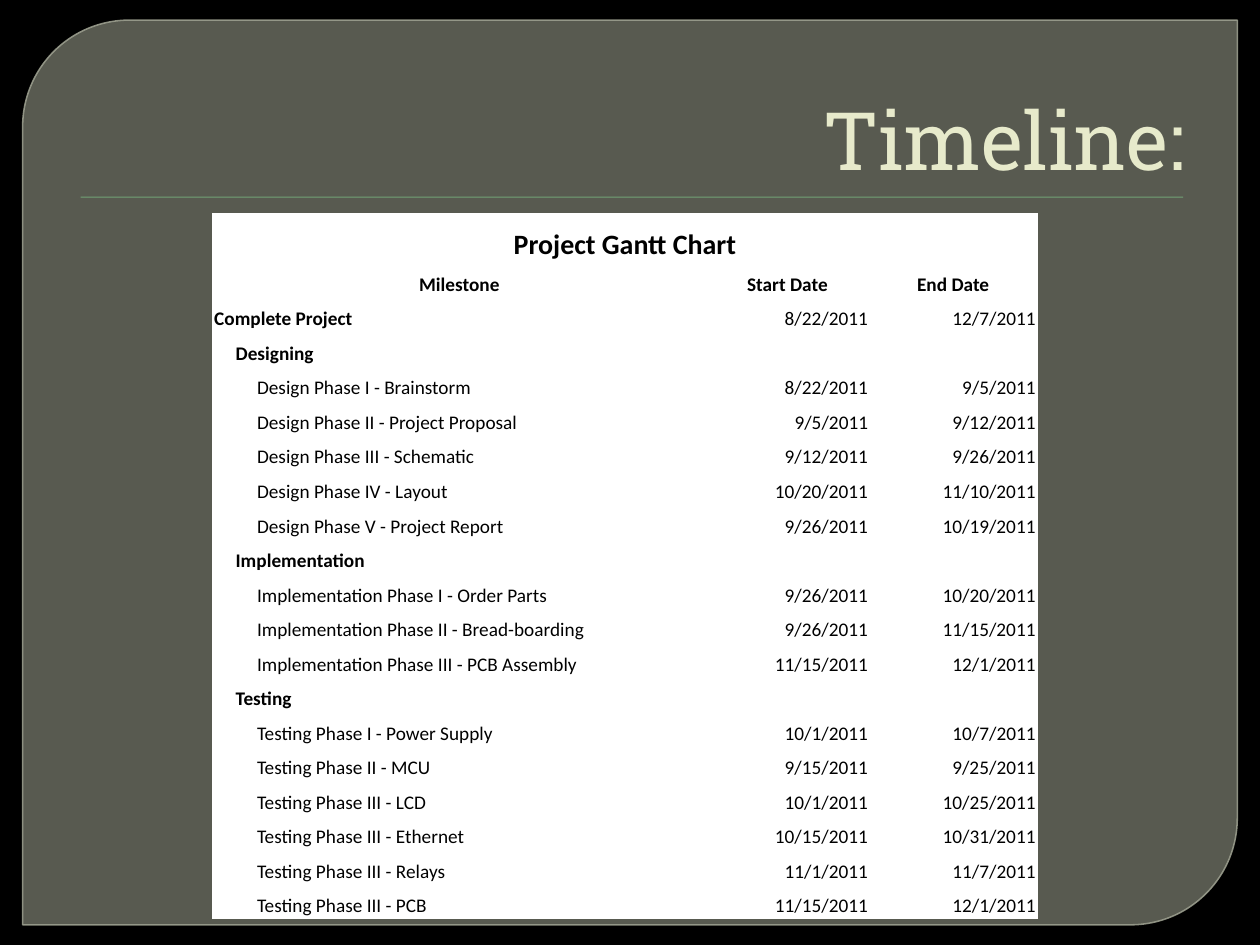
"""Build the project timeline slide."""
from dataclasses import dataclass

from lxml import etree
from pptx import Presentation
from pptx.dml.color import RGBColor
from pptx.enum.shapes import MSO_SHAPE
from pptx.enum.text import MSO_ANCHOR, PP_ALIGN
from pptx.oxml.ns import qn
from pptx.util import Inches, Pt

PANEL_SHAPE = MSO_SHAPE.ROUND_2_DIAG_RECTANGLE
RECTANGLE = MSO_SHAPE.RECTANGLE
BOTTOM = MSO_ANCHOR.BOTTOM
LEFT, CENTER, RIGHT = PP_ALIGN.LEFT, PP_ALIGN.CENTER, PP_ALIGN.RIGHT


@dataclass(frozen=True)
class Theme:
    """Colours, fonts and sizes of the slide."""
    background: str = "000000"
    panel: str = "888B7B"
    panel_line: str = "9DA090"
    rule: str = "72A376"
    title: str = "E7EACB"
    cell: str = "FFFFFF"
    ink: str = "000000"
    title_font: str = "Roboto Slab"
    table_font: str = "Calibri"
    title_size: int = 46
    caption_size: int = 16
    body_size: int = 11
    cell_margin: float = 0.01
    indent: float = 0.17


def set_alpha(fill, percent):
    """Make a solid fill partly transparent."""
    color = fill._xPr.find(qn("a:solidFill"))[0]
    etree.SubElement(color, qn("a:alpha")).set("val", str(percent * 1000))


class SlideBuilder:
    """Draws styled elements on one slide."""

    def __init__(self, slide, theme):
        """Keep the slide and theme, and paint the background."""
        self.slide = slide
        self.theme = theme
        fill = slide.background.fill
        fill.solid()
        fill.fore_color.rgb = RGBColor.from_string(theme.background)

    def shape(self, kind, box, color):
        """Add a filled shape without an outline."""
        shape = self.slide.shapes.add_shape(kind, *map(Inches, box))
        shape.shadow.inherit = False
        shape.fill.solid()
        shape.fill.fore_color.rgb = RGBColor.from_string(color)
        shape.line.fill.background()
        return shape

    def panel(self, box):
        """Add the translucent panel with two rounded corners."""
        panel = self.shape(PANEL_SHAPE, box, self.theme.panel)
        panel.adjustments[0] = 0.118
        panel.adjustments[1] = 0
        set_alpha(panel.fill, 65)
        panel.line.width = Pt(0.87)
        panel.line.fill.solid()
        panel.line.color.rgb = RGBColor.from_string(self.theme.panel_line)
        set_alpha(panel.line.fill, 88)

    def run(self, paragraph, text, font, size, color, bold=False):
        """Add one styled run to a paragraph."""
        run = paragraph.add_run()
        run.text = text
        run.font.name = font
        run.font.size = Pt(size)
        run.font.bold = bold
        run.font.color.rgb = RGBColor.from_string(color)

    def title(self, box, text):
        """Add the right-aligned slide title."""
        theme = self.theme
        frame = self.slide.shapes.add_textbox(*map(Inches, box)).text_frame
        frame.word_wrap = True
        frame.vertical_anchor = BOTTOM
        paragraph = frame.paragraphs[0]
        paragraph.alignment = RIGHT
        self.run(paragraph, text, theme.title_font, theme.title_size, theme.title)

    def cell(self, cell, text, alignment, bold=False, level=0, size=None):
        """Style and fill one table cell."""
        theme = self.theme
        size = size or theme.body_size
        cell.fill.solid()
        cell.fill.fore_color.rgb = RGBColor.from_string(theme.cell)
        cell.vertical_anchor = BOTTOM
        cell.margin_left = Inches(theme.cell_margin + level * theme.indent)
        cell.margin_right = cell.margin_top = Inches(theme.cell_margin)
        cell.margin_bottom = 0
        paragraph = cell.text_frame.paragraphs[0]
        paragraph.alignment = alignment
        if text:
            self.run(paragraph, text, theme.table_font, size, theme.ink, bold)
        else:
            end = etree.SubElement(paragraph._p, qn("a:endParaRPr"))
            end.set("sz", str(size * 100))

    def schedule(self, box, widths, caption_height, caption, headers, tasks):
        """Add the milestone table: caption, header row and one row per task."""
        row_count = len(tasks) + 2
        table = self.slide.shapes.add_table(
            row_count, len(widths), *map(Inches, box)).table
        table.first_row = table.horz_banding = False
        for column, width in zip(table.columns, widths):
            column.width = Inches(width)
        row_height = (box[3] - caption_height) / (row_count - 1)
        for row in table.rows:
            row.height = Inches(row_height)
        table.rows[0].height = Inches(caption_height)

        table.cell(0, 0).merge(table.cell(0, len(widths) - 1))
        self.cell(table.cell(0, 0), caption, CENTER, True,
                  size=self.theme.caption_size)
        for column, header in enumerate(headers):
            self.cell(table.cell(1, column), header, CENTER, True)
        for row, (level, name, *dates) in enumerate(tasks, start=2):
            self.cell(table.cell(row, 0), name, LEFT, level < 2, level)
            for column, date in enumerate(dates, start=1):
                self.cell(table.cell(row, column), date, RIGHT)


HEADERS = ("Milestone", "Start Date", "End Date")
TASKS = [
    (0, "Complete Project", "8/22/2011", "12/7/2011"),
    (1, "Designing", "", ""),
    (2, "Design Phase I - Brainstorm", "8/22/2011", "9/5/2011"),
    (2, "Design Phase II - Project Proposal", "9/5/2011", "9/12/2011"),
    (2, "Design Phase III - Schematic", "9/12/2011", "9/26/2011"),
    (2, "Design Phase IV - Layout", "10/20/2011", "11/10/2011"),
    (2, "Design Phase V - Project Report", "9/26/2011", "10/19/2011"),
    (1, "Implementation", "", ""),
    (2, "Implementation Phase I - Order Parts", "9/26/2011", "10/20/2011"),
    (2, "Implementation Phase II - Bread-boarding", "9/26/2011", "11/15/2011"),
    (2, "Implementation Phase III - PCB Assembly", "11/15/2011", "12/1/2011"),
    (1, "Testing", "", ""),
    (2, "Testing Phase I - Power Supply", "10/1/2011", "10/7/2011"),
    (2, "Testing Phase II - MCU", "9/15/2011", "9/25/2011"),
    (2, "Testing Phase III - LCD", "10/1/2011", "10/25/2011"),
    (2, "Testing Phase III - Ethernet", "10/15/2011", "10/31/2011"),
    (2, "Testing Phase III - Relays", "11/1/2011", "11/7/2011"),
    (2, "Testing Phase III - PCB", "11/15/2011", "12/1/2011"),
]


def main():
    """Build and save the presentation."""
    presentation = Presentation()
    presentation.slide_width = Inches(10)
    presentation.slide_height = Inches(7.5)
    theme = Theme()
    slide = presentation.slides.add_slide(presentation.slide_layouts[6])
    builder = SlideBuilder(slide, theme)
    builder.panel((0.18, 0.16, 9.64, 7.18))
    builder.shape(RECTANGLE, (0.64, 1.56, 8.75, 0.01), theme.rule)
    builder.title((0.5, 0.28, 9, 1.25), "Timeline:")
    builder.schedule((1.69, 1.7, 6.54, 5.59), (3.91, 1.3, 1.33), 0.38,
                     "Project Gantt Chart", HEADERS, TASKS)
    presentation.save("out.pptx")


main()
